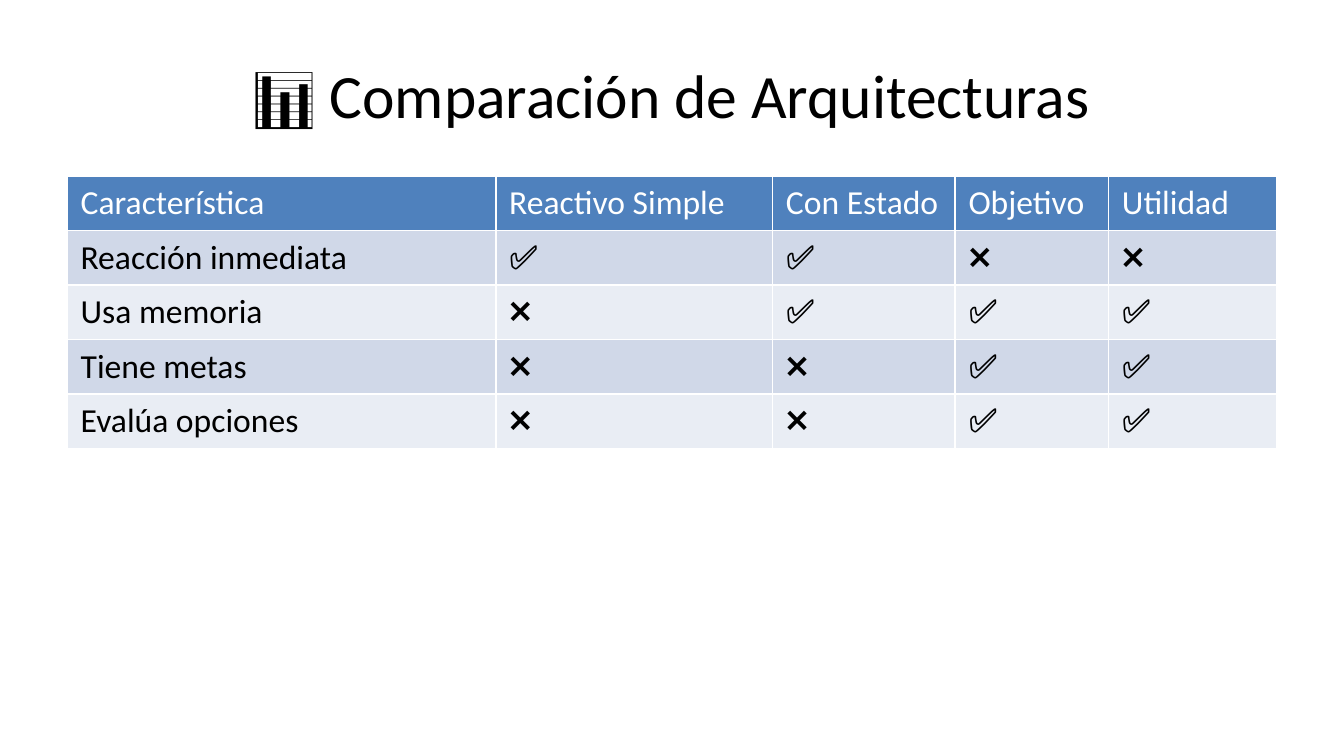
"""Build a slide with a table comparing agent architectures."""
from pptx import Presentation
from pptx.dml.color import RGBColor
from pptx.enum import text
from pptx.util import Cm, Pt


def color(value):
    return RGBColor.from_string(value)


def write(tf, content, size=18, fill="000000", align=text.PP_ALIGN.LEFT):
    p = tf.paragraphs[0]
    p.alignment = align
    r = p.add_run()
    r.text = content
    r.font.name = "Calibri"
    r.font.size = Pt(size)
    r.font.bold = False
    r.font.color.rgb = color(fill)


prs = Presentation()
prs.slide_width, prs.slide_height = Cm(25.4), Cm(14.29)
s = prs.slides.add_slide(prs.slide_layouts[5])

title = s.shapes.title
title.left, title.top, title.width, title.height = Cm(1.27), Cm(0.58), Cm(22.86), Cm(2.39)
tf = title.text_frame
tf.auto_size = text.MSO_AUTO_SIZE.NONE
tf.vertical_anchor = text.MSO_ANCHOR.MIDDLE
write(tf, "📊 Comparación de Arquitecturas", size=33, align=text.PP_ALIGN.CENTER)

rows = [
    ["Característica", "Reactivo Simple", "Con Estado", "Objetivo", "Utilidad"],
    ["Reacción inmediata", "✅", "✅", "❌", "❌"],
    ["Usa memoria", "❌", "✅", "✅", "✅"],
    ["Tiene metas", "❌", "❌", "✅", "✅"],
    ["Evalúa opciones", "❌", "❌", "✅", "✅"],
]
widths = [8.1, 5.23, 3.45, 2.9, 3.18]
row_height = 1.03
bands = ["E9EDF4", "D0D8E8"]

table = s.shapes.add_table(len(rows), len(widths), Cm(1.27), Cm(3.33),
                           Cm(sum(widths)), Cm(row_height * len(rows))).table
for column, width in zip(table.columns, widths):
    column.width = Cm(width)

for i, values in enumerate(rows):
    table.rows[i].height = Cm(row_height)
    for j, value in enumerate(values):
        cell = table.cell(i, j)
        cell.fill.solid()
        cell.fill.fore_color.rgb = color(bands[i % 2] if i else "4F81BD")
        write(cell.text_frame, value, fill="000000" if i else "FFFFFF")

prs.save("out.pptx")
